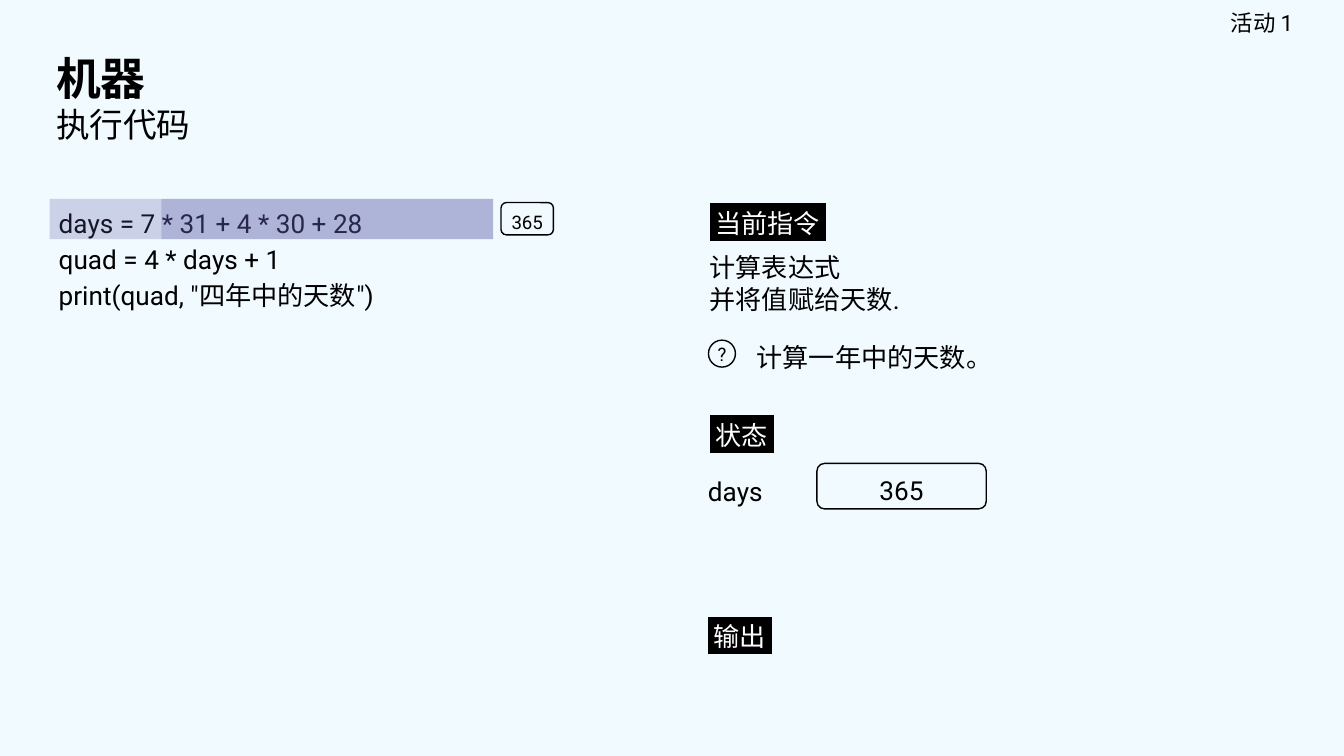
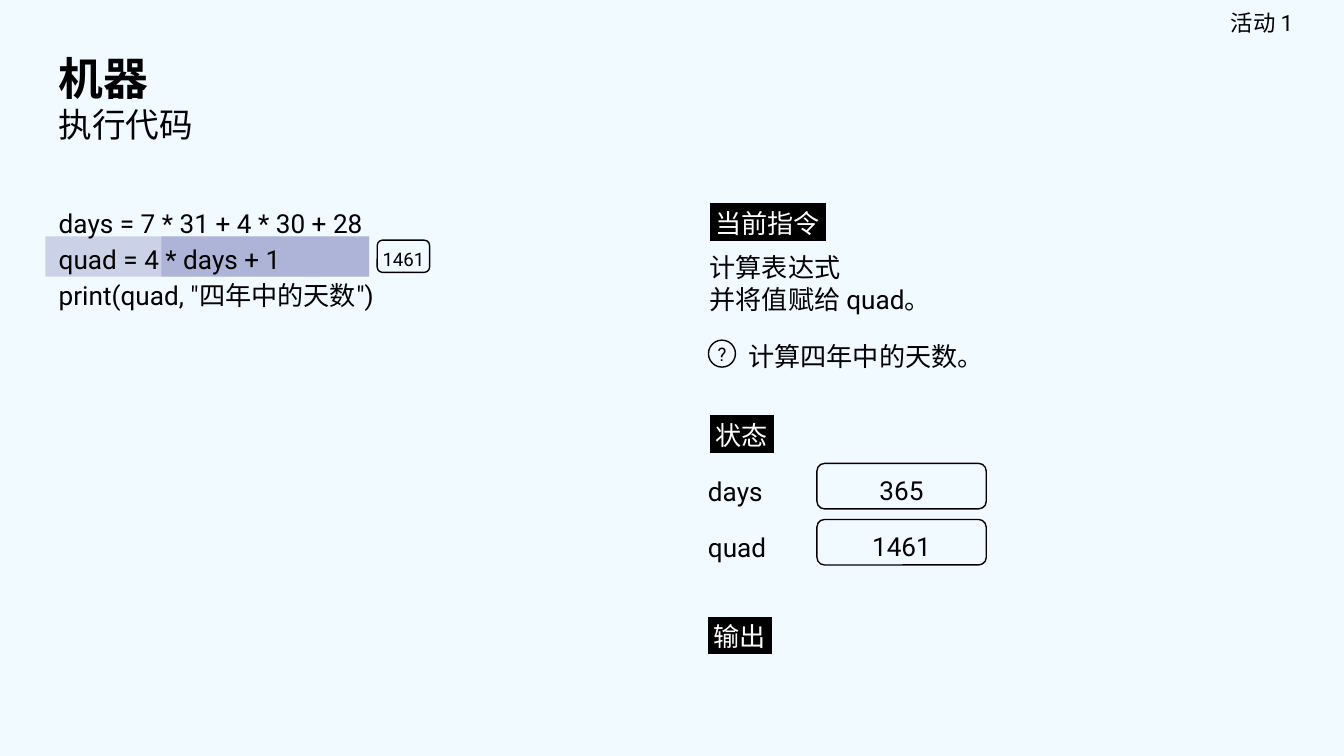
"""Build two slides that step through a small program line by line."""
import dataclasses

import pptx
import pptx.dml.color
import pptx.enum.shapes
import pptx.enum.text
import pptx.oxml
import pptx.oxml.ns
import pptx.util

Cm = pptx.util.Cm
Pt = pptx.util.Pt
Form = pptx.enum.shapes.MSO_SHAPE
Align = pptx.enum.text.PP_ALIGN
Anchor = pptx.enum.text.MSO_ANCHOR


@dataclasses.dataclass(frozen=True)
class Theme:
    font: str = "Roboto"
    back: str = "F1FAFF"
    ink: str = "000000"
    pale: str = "FFFFFF"
    mark: str = "5B5BA5"
    alpha: int = 25000
    title: int = 24
    sub: int = 18
    tag: int = 12
    body: int = 14
    small: int = 10
    line: float = 0.75


THEME = Theme()

TAG = "活动 1"
TITLE = "机器"
SUB = "执行代码"
CODE = [
    "days = 7 * 31 + 4 * 30 + 28",
    "quad = 4 * days + 1",
    'print(quad, "四年中的天数")',
]
HEADS = [
    (" 当前指令 ", 13.16, 3.58),
    (" 状态 ", 13.16, 7.59),
    (" 输出 ", 13.13, 11.4),
]
SLIDES = [
    {
        "left": 0.81,
        "row": 0,
        "bar": (0.94, 9.32),
        "over": True,
        "value": "365",
        "steps": ["计算表达式", "并将值赋给天数."],
        "note": ("计算一年中的天数。", 14.05, 6.12),
        "state": [("days", "365")],
    },
    {
        "left": 0.86,
        "row": 1,
        "bar": (0.86, 6.98),
        "over": False,
        "value": "1461",
        "steps": ["计算表达式", "并将值赋给 quad。"],
        "note": ("计算四年中的天数。", 13.89, 6.1),
        "state": [("days", "365"), ("quad", "1461")],
    },
]

WIDE, HIGH = 25.4, 14.29
PAD = (0.25, 0.25, 0.25, 0.25)
SIDE = (0.25, 0.25, 0.15, 0.25)
BAR_TOP, BAR_STEP, BAR_HIGH, BAR_CUT = 3.76, 0.71, 0.76, 3.05
CHIP_GAP, CHIP_DROP = 0.15, 0.07
STEP_TOP, STEP_GAP = 4.42, 0.61
STATE_TOP, STATE_GAP = 8.64, 1.06
TEXT_HIGH = 1.02


def tint(hue):
    return pptx.dml.color.RGBColor.from_string(hue)


def style(para, size, hue=THEME.ink, bold=False):
    para.font.name = THEME.font
    para.font.size = Pt(size)
    para.font.bold = bold
    para.font.color.rgb = tint(hue)


def write(shape, lines, size=THEME.body, pad=PAD, space=1.15,
          align=Align.LEFT, anchor=Anchor.TOP, hue=THEME.ink):
    frame = shape.text_frame
    frame.word_wrap = True
    frame.vertical_anchor = anchor
    (frame.margin_left, frame.margin_top,
     frame.margin_right, frame.margin_bottom) = map(Cm, pad)
    frame.text = "\n".join(lines)
    for para in frame.paragraphs:
        para.alignment = align
        para.line_spacing = space
        style(para, size, hue)
    return frame


def label(slide, box, lines, **look):
    return write(slide.shapes.add_textbox(*map(Cm, box)), lines, **look)


def plain(slide, form, box):
    shape = slide.shapes.add_shape(form, *map(Cm, box))
    shape.shadow.inherit = False
    return shape


def frame(slide, form, box, text, **look):
    shape = plain(slide, form, box)
    shape.fill.background()
    shape.line.color.rgb = tint(THEME.ink)
    shape.line.width = Pt(THEME.line)
    write(shape, [text], align=Align.CENTER, anchor=Anchor.MIDDLE, **look)


def band(slide, left, right, top):
    shape = plain(slide, Form.RECTANGLE, (left, top, right - left, BAR_HIGH))
    shape.line.fill.background()
    shape.fill.solid()
    shape.fill.fore_color.rgb = tint(THEME.mark)
    hue = shape.fill._xPr.find(".//" + pptx.oxml.ns.qn("a:srgbClr"))
    hue.append(pptx.oxml.parse_xml(
        f'<a:alpha {pptx.oxml.ns.nsdecls("a")} val="{THEME.alpha}"/>'))


def head(slide, text, left, top):
    block = label(slide, (left, top, 11.35, TEXT_HIGH), [text],
                  pad=SIDE, space=1.14, hue=THEME.pale)
    props = block.paragraphs[0].runs[0]._r.get_or_add_rPr()
    props.append(pptx.oxml.parse_xml(
        f'<a:highlight {pptx.oxml.ns.nsdecls("a")}>'
        f'<a:srgbClr val="{THEME.ink}"/></a:highlight>'))


def shared(slide, left):
    slide.background.fill.solid()
    slide.background.fill.fore_color.rgb = tint(THEME.back)
    label(slide, (19, 0, 5.44, 0.86), [TAG], size=THEME.tag,
          pad=(0.25, 0.25, 0, 0.25), space=1.0,
          align=Align.RIGHT, anchor=Anchor.MIDDLE)
    block = label(slide, (left, 0.86, 23.67, 1.96), [TITLE, SUB],
                  size=THEME.sub, space=1.0, anchor=Anchor.MIDDLE)
    style(block.paragraphs[0], THEME.title, bold=True)
    for item in HEADS:
        head(slide, *item)


def code(slide, data):
    def text():
        label(slide, (0.86, 3.58, 12.29, 2.54), CODE)

    left, right = data["bar"]
    top = BAR_TOP + data["row"] * BAR_STEP
    if data["over"]:
        text()
    for start in (left, BAR_CUT):
        band(slide, start, right, top)
    if not data["over"]:
        text()
    frame(slide, Form.ROUNDED_RECTANGLE,
          (right + CHIP_GAP, top + CHIP_DROP, 0.99, 0.61), data["value"],
          size=THEME.small, pad=(0, 0.05, 0, 0))


def panel(slide, data):
    for row, text in enumerate(data["steps"]):
        label(slide, (13.16, STEP_TOP + row * STEP_GAP, 11.35, TEXT_HIGH),
              [text], pad=SIDE, space=1.14)
    text, left, top = data["note"]
    label(slide, (left, top, 9.91, TEXT_HIGH), [text], pad=SIDE, space=1.14)
    frame(slide, Form.OVAL, (13.39, 6.43, 0.51, 0.51), "?",
          size=THEME.small, pad=(0, 0, 0, 0), space=1.0)
    for row, (name, value) in enumerate(data["state"]):
        top = STATE_TOP + row * STATE_GAP
        label(slide, (13.13, top, 3.81, TEXT_HIGH), [name])
        frame(slide, Form.ROUNDED_RECTANGLE, (15.44, top + 0.12, 3.2, 0.86),
              value, pad=(0.25, 0.05, 0.25, 0))


def main():
    deck = pptx.Presentation()
    deck.slide_width, deck.slide_height = Cm(WIDE), Cm(HIGH)
    for data in SLIDES:
        slide = deck.slides.add_slide(deck.slide_layouts[6])
        shared(slide, data["left"])
        code(slide, data)
        panel(slide, data)
    deck.save("out.pptx")


if __name__ == "__main__":
    main()
